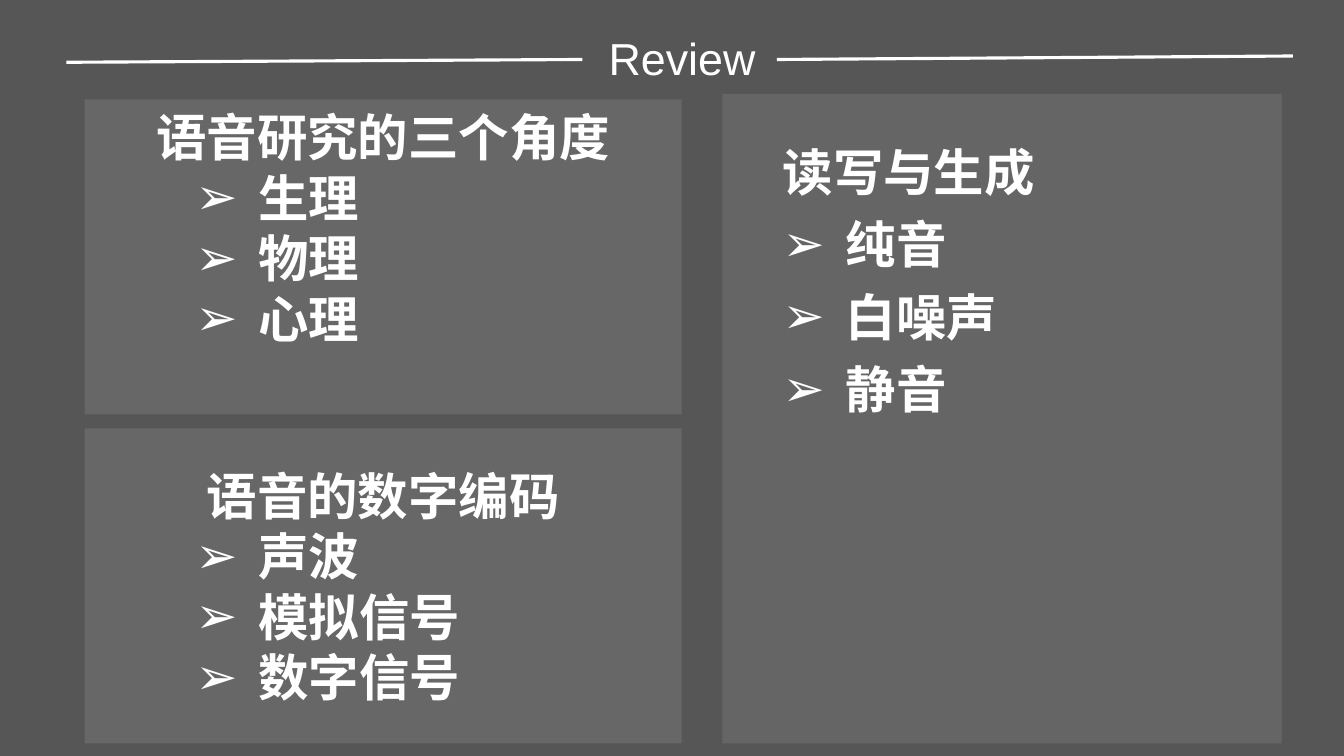
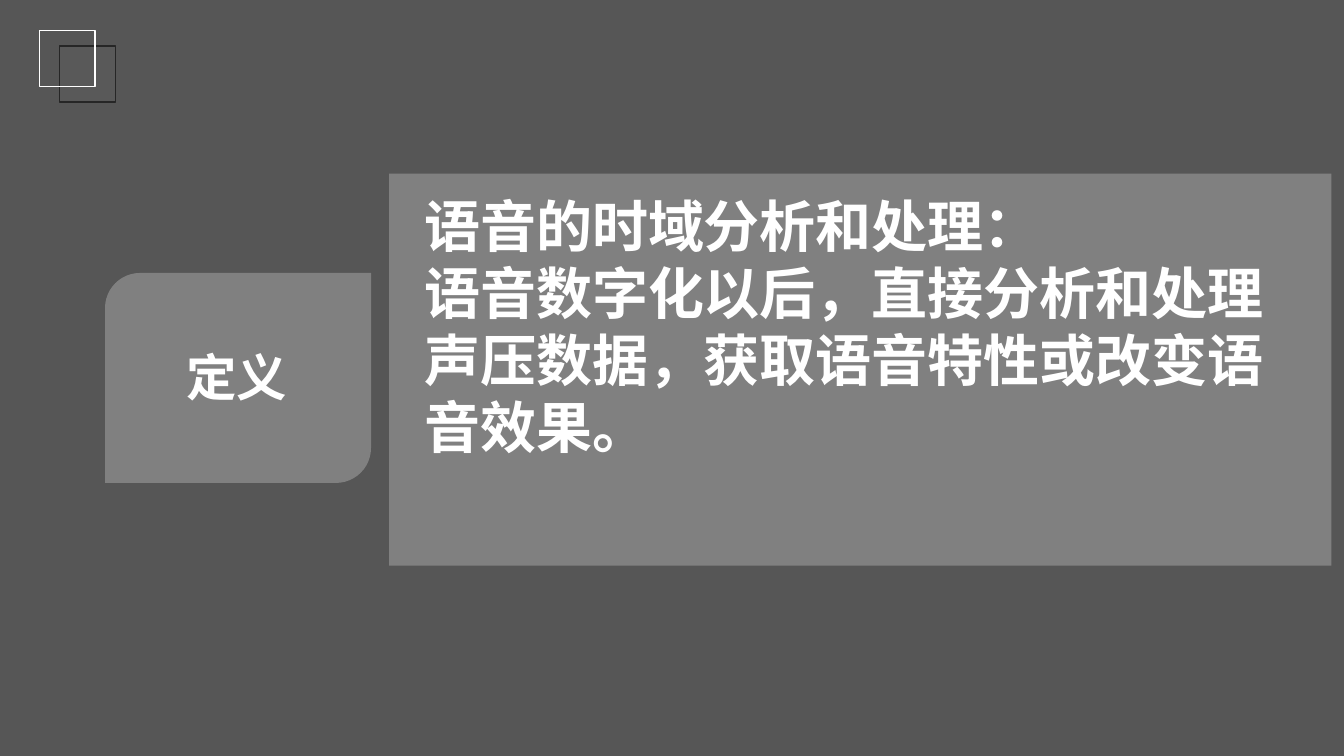
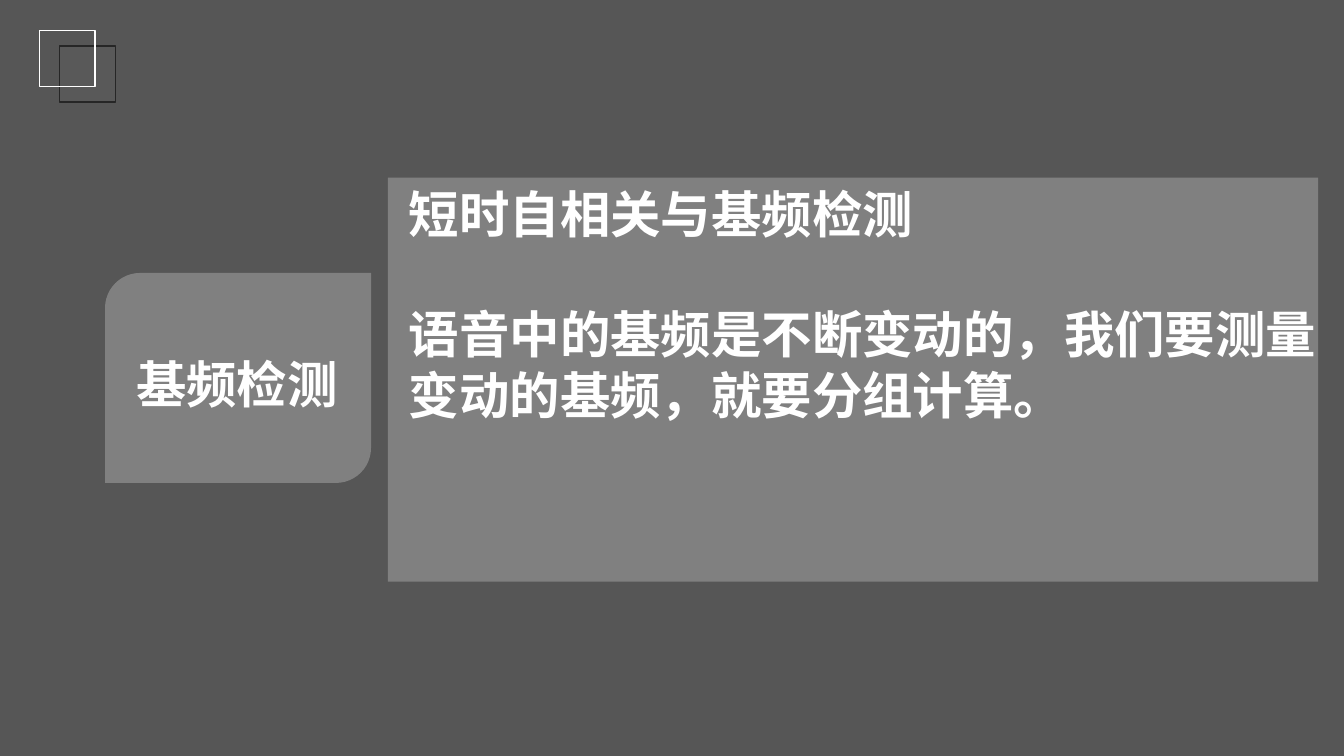
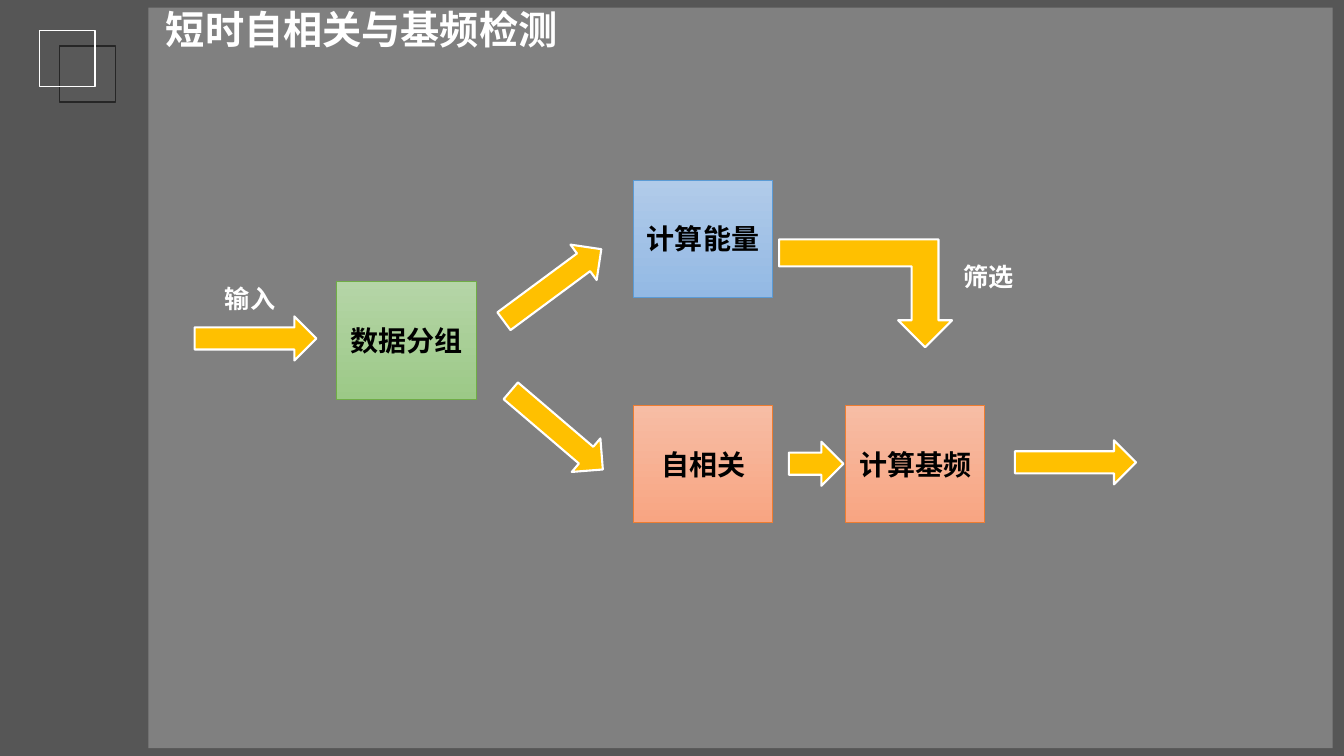
from lxml.etree import SubElement
from pptx import Presentation
from pptx.dml.color import RGBColor
from pptx.enum.shapes import MSO_CONNECTOR, MSO_SHAPE as SHAPE
from pptx.enum.text import MSO_ANCHOR as ANCHOR, PP_ALIGN as ALIGN
from pptx.oxml.ns import qn
from pptx.util import Pt

LATIN, CJK = "Arial", "Noto Sans CJK SC"
BACKDROP, WHITE, BLACK, GOLD = "565656", "FFFFFF", "000000", "FFC000"
GREEN = ("B5D5A7", "9CC987", "70AD47")
BLUE = ("B1CBE9", "93B9E4", "5B9BD5")
ORANGE = ("F7BDA5", "F8A582", "ED7D31")


def rgb(value):
    """Turn a hex string into a colour."""
    return RGBColor.from_string(value)


class Deck:
    """Hold the shared style and the slide being built."""

    def __init__(self):
        """Set the page size and the common backdrop."""
        self.prs = Presentation()
        self.prs.slide_width, self.prs.slide_height = Pt(960), Pt(540)
        backdrop = self.prs.slide_master.background.fill
        backdrop.solid()
        backdrop.fore_color.rgb = rgb(BACKDROP)

    def new_slide(self, squares=True):
        """Start a slide, with the corner squares if wanted."""
        self.slide = self.prs.slides.add_slide(self.prs.slide_layouts[6])
        if squares:
            self.shape(SHAPE.RECTANGLE, (42.5, 33, 40, 40), "595959", line="262626")
            self.shape(SHAPE.RECTANGLE, (28, 22, 40, 40), line=WHITE)

    def shape(self, kind, box, fill=None, alpha=None, line=None, weight=1):
        """Add a preset shape with a flat fill."""
        shape = self.slide.shapes.add_shape(kind, *map(Pt, box))
        shape.shadow.inherit = False
        if fill:
            shape.fill.solid()
            shape.fill.fore_color.rgb = rgb(fill)
        else:
            shape.fill.background()
        if alpha:
            color = shape._element.spPr.find(qn("a:solidFill"))[0]
            SubElement(color, qn("a:alpha"), val=str(alpha * 1000))
        if line:
            shape.line.color.rgb = rgb(line)
            shape.line.width = Pt(weight)
        else:
            shape.line.fill.background()
        return shape

    def put_text(self, shape, lines, size, color=WHITE, font=CJK, bold=True,
                 align=ALIGN.LEFT, anchor=ANCHOR.TOP, spacing=None, margin=0):
        """Put styled paragraphs into a shape."""
        frame = shape.text_frame
        frame.text = "\n".join(lines)
        frame.word_wrap = True
        frame.vertical_anchor = anchor
        for paragraph in frame.paragraphs:
            paragraph.alignment = align
            if spacing:
                paragraph.line_spacing = spacing
            if margin:
                paragraph._p.get_or_add_pPr().set("marL", str(Pt(margin)))
            for run in paragraph.runs:
                run.font.size, run.font.bold, run.font.name = Pt(size), bold, font
                run.font.color.rgb = rgb(color)
                SubElement(run._r.get_or_add_rPr(), qn("a:ea"), typeface=CJK)
        return frame

    def text(self, box, lines, size, **style):
        """Add a text box."""
        holder = self.slide.shapes.add_textbox(*map(Pt, box))
        return self.put_text(holder, lines, size, **style)

    def rule(self, x1, y1, x2, y2):
        """Add a white line."""
        rule = self.slide.shapes.add_connector(
            MSO_CONNECTOR.STRAIGHT, *map(Pt, (x1, y1, x2, y2)))
        rule.line.color.rgb = rgb(WHITE)
        rule.line.width = Pt(2.25)
        SubElement(rule._element.spPr, qn("a:effectLst"))

    def review_panel(self, box, heading, topics, margin, fill=WHITE, inset=None, **style):
        """Add a panel with a heading and arrow bullets."""
        panel = self.shape(SHAPE.RECTANGLE, box, fill, alpha=10)
        anchor = ANCHOR.TOP if inset else ANCHOR.MIDDLE
        frame = self.put_text(panel, [heading, *topics], 36, anchor=anchor, **style)
        if inset:
            frame.margin_top = Pt(inset)
        for topic in frame.paragraphs[1:]:
            topic.alignment = ALIGN.LEFT
            props = topic._p.get_or_add_pPr()
            props.set("marL", str(Pt(margin)))
            props.set("indent", str(Pt(-45)))
            SubElement(props, qn("a:buFont"), typeface=LATIN)
            SubElement(props, qn("a:buChar"), char="➢")
        return frame

    def tab(self, label, top):
        """Add the rounded tab that names the slide's subject."""
        self.shape(SHAPE.ROUND_2_DIAG_RECTANGLE, (75, 195, 190, 150), WHITE, alpha=25)
        self.text((75, top, 188.5, 34.5), [label], 36, align=ALIGN.CENTER)

    def panel(self, box):
        """Add a translucent panel."""
        self.shape(SHAPE.RECTANGLE, box, WHITE, alpha=25)

    def step(self, left, top, label, palette):
        """Add a gradient box of the flow chart."""
        step = self.shape(SHAPE.RECTANGLE, (left, top, 99.5, 84), line=palette[2], weight=0.5)
        step.fill.gradient()
        step.fill.gradient_angle = 270
        for stop, color in zip(step.fill.gradient_stops, palette):
            stop.color.rgb = rgb(color)
        self.put_text(step, [label], 20, color=BLACK, align=ALIGN.CENTER,
                      anchor=ANCHOR.MIDDLE)

    def arrow(self, left, top, width=86.5, height=31.5, turn=0, kind=SHAPE.RIGHT_ARROW):
        """Add a gold block arrow."""
        arrow = self.shape(kind, (left, top, width, height), GOLD, line=WHITE, weight=1.5)
        arrow.rotation = turn
        return arrow


def review(deck):
    """Build the review slide."""
    deck.new_slide(squares=False)
    deck.rule(47.5, 44.5, 416, 42.5)
    deck.rule(555, 42.5, 923.5, 40)
    title = deck.text((372, 22, 230.5, 39), ["Review"], 32, font=LATIN, bold=False,
                      align=ALIGN.CENTER, anchor=ANCHOR.MIDDLE)
    title.margin_left = title.margin_right = title.margin_top = title.margin_bottom = 0
    left = dict(margin=117, font=LATIN, align=ALIGN.CENTER)
    deck.review_panel((60.5, 306, 426.5, 225), "语音的数字编码",
                      ["声波", "模拟信号", "数字信号"], **left)
    reading = deck.review_panel((516, 67, 399.5, 464), "读写与生成",
                                ["纯音", "白噪声", "静音"],
                                margin=81, fill="F2F2F2", inset=25, spacing=1.2)
    reading.paragraphs[0]._p.get_or_add_pPr().set("marL", str(Pt(36)))
    deck.review_panel((60.5, 71, 426.5, 225), "语音研究的三个角度",
                      ["生理", "物理", "心理"], inset=5, **left)


def definition(deck):
    """Build the definition slide."""
    deck.new_slide()
    deck.tab("定义", 243.5)
    deck.panel((278, 124, 673, 280))
    deck.text((296, 133, 642, 234),
              ["语音的时域分析和处理：",
               "语音数字化以后，直接分析和处理声压数据，获取语音特性或改变语音效果。"], 40)


def pitch_detection(deck):
    """Build the pitch detection slide."""
    deck.new_slide()
    deck.tab("基频检测", 249)
    deck.panel((277, 127, 664.5, 288.5))
    body = deck.text((285, 127, 664.5, 314.5),
                     ["短时自相关与基频检测",
                      "语音中的基频是不断变动的，我们要测量变动的基频，就要分组计算。"], 36)
    body.paragraphs[1].space_before = Pt(43)


def flow(deck):
    """Build the processing flow slide."""
    deck.new_slide()
    deck.panel((106, 5.5, 846, 529))
    deck.text((111.5, 0, 805.5, 62), ["短时自相关与基频检测"], 28)
    for left, top, label, palette in (
            (240.5, 201, "数据分组", GREEN), (452.5, 128.5, "计算能量", BLUE),
            (452.5, 289.5, "自相关", ORANGE), (604, 289.5, "计算基频", ORANGE)):
        deck.step(left, top, label, palette)
    for left, top, width, turn in (
            (139, 226, 87, 0), (351.5, 188, 86.5, 323.5), (354.5, 291.5, 86.5, 40.5),
            (563.5, 315.5, 39, 0), (725, 314.5, 86.5, 0)):
        deck.arrow(left, top, width, turn=turn)
    bend = deck.arrow(556.5, 171, 123.5, 77, 180, SHAPE.BENT_UP_ARROW)
    bend._element.spPr.xfrm.set("flipH", "1")
    for left, top, label in ((135.5, 198.5, "输入"), (663, 183, "筛选")):
        deck.text((left, top, 81.5, 26.5), [label], 18, margin=18)


def main():
    """Build and save the deck."""
    deck = Deck()
    for build in (review, definition, pitch_detection, flow):
        build(deck)
    deck.prs.save("out.pptx")


if __name__ == "__main__":
    main()
